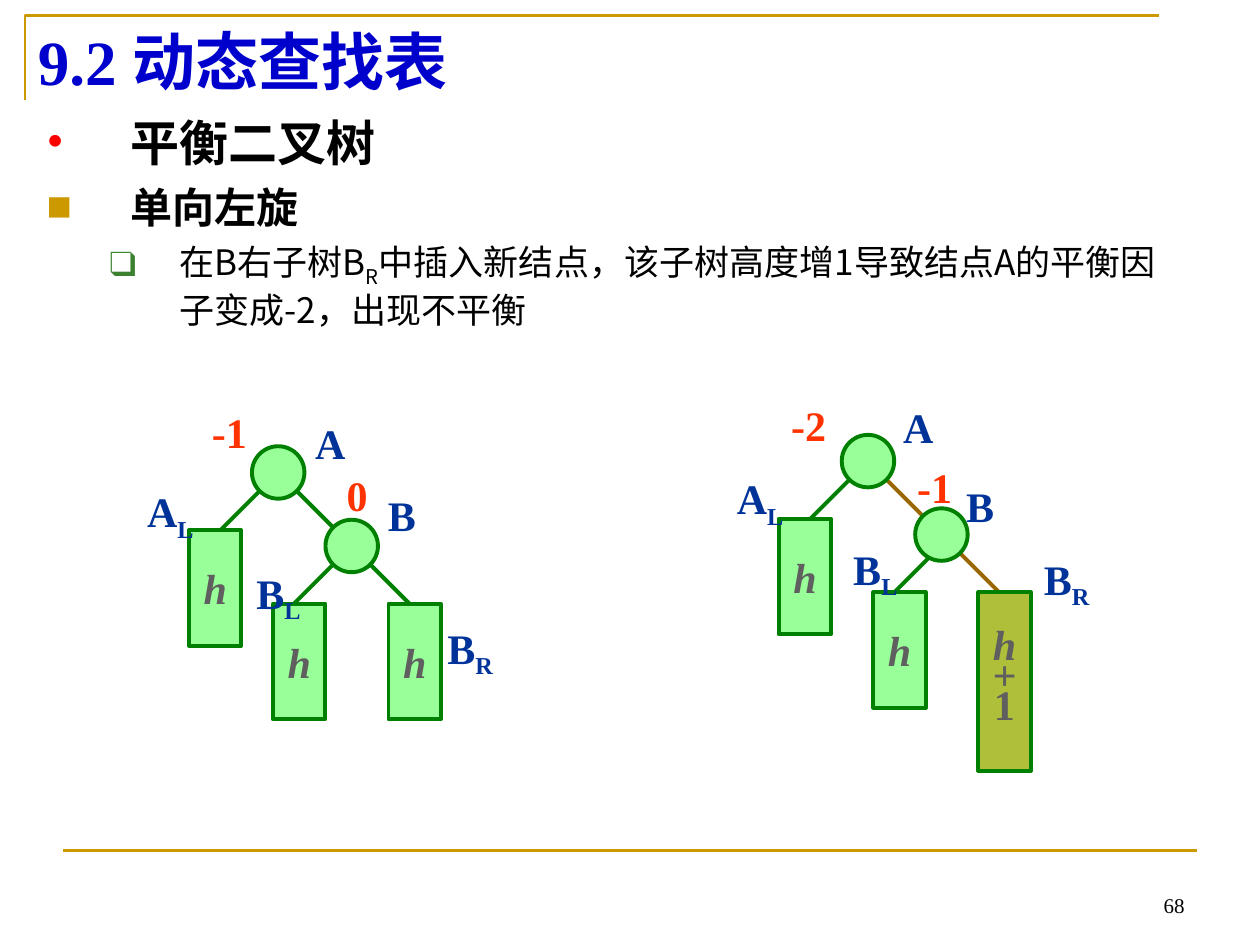
import pptx
import pptx.util
import pptx.dml.color
import pptx.enum.shapes
import pptx.enum.text
import pptx.oxml.ns
from lxml import etree

Pt = pptx.util.Pt
SHAPE = pptx.enum.shapes.MSO_SHAPE
ALIGN = pptx.enum.text.PP_ALIGN
ANCHOR = pptx.enum.text.MSO_ANCHOR
qn = pptx.oxml.ns.qn

# Content
SERIF, SANS = "Times New Roman", "Noto Sans CJK SC"
GOLD, GREEN, BROWN = "CC9900", "008000", "996600"
NAVY, RED, GREY = "003399", "FF3300", "5F5F5F"
PALE, OLIVE = "99FF99", "AFBF39"

TITLE = "9.2 动态查找表"
PAGE = "68"
# runs (text, subscript), size, bold, left margin, indent, space before, bullet, bullet colour
OUTLINE = [
    ([("平衡二叉树", False)], 28, True, 48, -48, 0, "•", "FF0000"),
    ([("单向左旋", False)], 24, True, 48, -48, 6, "■", GOLD),
    ([("在B右子树B", False), ("R", True),
      ("中插入新结点，该子树高度增1导致结点A的平衡因子变成-2，出现不平衡", False)],
     20, False, 76, -40, 5, "❑", "3B812F"),
]

# Trees: places are offsets from the top left corner of node A
NODE, SUBTREE_H = 30, 66
NODES = {"A": (0, 0), "B": (42, 42)}
LEFT, RIGHT = (-30, 30), (36, 36)
TREES = [
    {"origin": (144, 255),
     # parent, start offset in the parent, direction, colour
     "edges": [("A", (24, 24), RIGHT, GREEN), ("A", (6, 24), LEFT, GREEN),
               ("B", (24, 24), RIGHT, GREEN), ("B", (6, 24), LEFT, GREEN)],
     # place, height, fill, lines of (text, italic)
     "subtrees": [((-36, 48), SUBTREE_H, PALE, [("h", True)]),
                  ((12, 90), SUBTREE_H, PALE, [("h", True)]),
                  ((78, 90), SUBTREE_H, PALE, [("h", True)])],
     # letter, subscript, place, colour
     "labels": [("A", "", (29, -20), NAVY), ("B", "", (70.5, 21), NAVY),
                ("B", "R", (104.5, 97), NAVY), ("A", "L", (-67, 19), NAVY),
                ("B", "L", (-4.5, 65.5), NAVY), ("-1", "", (-30, -26.5), RED),
                ("0", "", (47, 9.5), RED)]},
    {"origin": (481, 248.5),
     "edges": [("A", (18, 18), RIGHT, BROWN), ("A", (6, 24), LEFT, GREEN),
               ("B", (18, 18), RIGHT, BROWN), ("B", (18, 18), LEFT, GREEN)],
     "subtrees": [((-36, 48), SUBTREE_H, PALE, [("h", True)]),
                  ((18, 90), SUBTREE_H, PALE, [("h", True)]),
                  ((78, 90), 102, OLIVE, [("h", True), ("+", True), ("1", False)])],
     "labels": [("A", "", (28, -22.5), NAVY), ("B", "", (64, 22.5), NAVY),
                ("B", "R", (108.5, 64), NAVY), ("A", "L", (-67, 18), NAVY),
                ("B", "L", (-0.5, 58.5), NAVY), ("-2", "", (-36, -24), RED),
                ("-1", "", (36, 11.5), RED)]},
]
LABEL_WIDTHS = {"A": 34, "B": 32, "AL": 44, "BL": 44, "BR": 44,
                "-1": 36, "-2": 36, "0": 28}


def rgb(colour):
    return pptx.dml.color.RGBColor.from_string(colour)


def add_run(paragraph, text, size, colour, face=SERIF, bold=False, italic=False, sub=False):
    run = paragraph.add_run()
    run.text = text
    font = run.font
    font.size, font.bold, font.italic, font.name = Pt(size), bold, italic, face
    font.color.rgb = rgb(colour)
    etree.SubElement(font._element, qn("a:ea")).set("typeface", SANS)
    if sub:
        font._element.set("baseline", "-25000")


def add_bullet(paragraph, char, colour, margin, indent):
    props = paragraph._p.get_or_add_pPr()
    props.set("marL", str(Pt(margin)))
    props.set("indent", str(Pt(indent)))
    bullet_colour = etree.SubElement(props, qn("a:buClr"))
    etree.SubElement(bullet_colour, qn("a:srgbClr")).set("val", colour)
    etree.SubElement(props, qn("a:buFont")).set("typeface", SERIF)
    etree.SubElement(props, qn("a:buChar")).set("char", char)


def add_line(slide, start, end, colour, width):
    line = slide.shapes.add_connector(
        pptx.enum.shapes.MSO_CONNECTOR.STRAIGHT, *(Pt(v) for v in (*start, *end)))
    line.line.color.rgb = rgb(colour)
    line.line.width = Pt(width)
    etree.SubElement(line._element.spPr, qn("a:effectLst"))


def add_box(slide, left, top, width, height, wrap):
    box = slide.shapes.add_textbox(Pt(left), Pt(top), Pt(width), Pt(height))
    box.text_frame.word_wrap = wrap
    return box.text_frame


def add_node(slide, kind, place, width, height, fill):
    node = slide.shapes.add_shape(kind, *(Pt(v) for v in (*place, width, height)))
    node.shadow.inherit = False
    node.fill.solid()
    node.fill.fore_color.rgb = rgb(fill)
    node.line.color.rgb = rgb(GREEN)
    node.line.width = Pt(2.25)
    return node.text_frame


def shift(a, b):
    return a[0] + b[0], a[1] + b[1]


def draw_tree(slide, tree):
    origin = tree["origin"]
    for parent, start, direction, colour in tree["edges"]:
        begin = shift(shift(origin, NODES[parent]), start)
        add_line(slide, begin, shift(begin, direction), colour, 2.25)
    for offset in NODES.values():
        add_node(slide, SHAPE.OVAL, shift(origin, offset), NODE, NODE, PALE)
    for offset, height, fill, lines in tree["subtrees"]:
        frame = add_node(slide, SHAPE.RECTANGLE, shift(origin, offset), NODE, height, fill)
        frame.word_wrap = False
        frame.vertical_anchor = ANCHOR.MIDDLE
        for i, (text, italic) in enumerate(lines):
            paragraph = frame.add_paragraph() if i else frame.paragraphs[0]
            paragraph.alignment = ALIGN.CENTER
            if len(lines) > 1:
                paragraph.line_spacing = 0.6
            add_run(paragraph, text, 24, GREY, bold=True, italic=italic)
    for letter, subscript, offset, colour in tree["labels"]:
        frame = add_box(slide, *shift(origin, offset),
                        LABEL_WIDTHS[letter + subscript], 40 if subscript else 36, False)
        add_run(frame.paragraphs[0], letter, 24, colour, bold=True)
        if subscript:
            add_run(frame.paragraphs[0], subscript, 24, colour, bold=True, sub=True)


def main():
    deck = pptx.Presentation()
    deck.slide_width, deck.slide_height = Pt(720), Pt(540)
    slide = deck.slides.add_slide(deck.slide_layouts[5])

    # Corner rule and footer rule
    builder = slide.shapes.build_freeform(Pt(14.4), Pt(57))
    builder.add_line_segments([(Pt(14.4), Pt(9)), (Pt(662.4), Pt(9))], close=False)
    corner = builder.convert_to_shape()
    corner.shadow.inherit = False
    corner.fill.background()
    corner.line.color.rgb = rgb(GOLD)
    corner.line.width = Pt(1.5)
    add_line(slide, (36, 486), (684, 486), GOLD, 1.5)

    # Title
    title = slide.shapes.title
    title.left, title.top, title.width, title.height = Pt(14.4), Pt(9), Pt(648), Pt(51)
    title.text_frame.vertical_anchor = ANCHOR.MIDDLE
    heading = title.text_frame.paragraphs[0]
    heading.alignment = ALIGN.LEFT
    add_run(heading, TITLE, 36, "0000CC", bold=True)

    # Outline
    frame = add_box(slide, 19.5, 60.5, 663, 420, True)
    for i, (runs, size, bold, margin, indent, before, char, colour) in enumerate(OUTLINE):
        paragraph = frame.add_paragraph() if i else frame.paragraphs[0]
        add_bullet(paragraph, char, colour, margin, indent)
        paragraph.line_spacing = 1.0
        paragraph.space_before = Pt(before)
        for text, sub in runs:
            add_run(paragraph, text, size, "000000", SANS, bold, sub=sub)

    # Trees before and after the insertion
    for tree in TREES:
        draw_tree(slide, tree)

    # Page number
    frame = add_box(slide, 516, 492, 168, 36, True)
    frame.vertical_anchor = ANCHOR.BOTTOM
    frame.paragraphs[0].alignment = ALIGN.RIGHT
    add_run(frame.paragraphs[0], PAGE, 12, "000000")

    deck.save("out.pptx")


if __name__ == "__main__":
    main()
